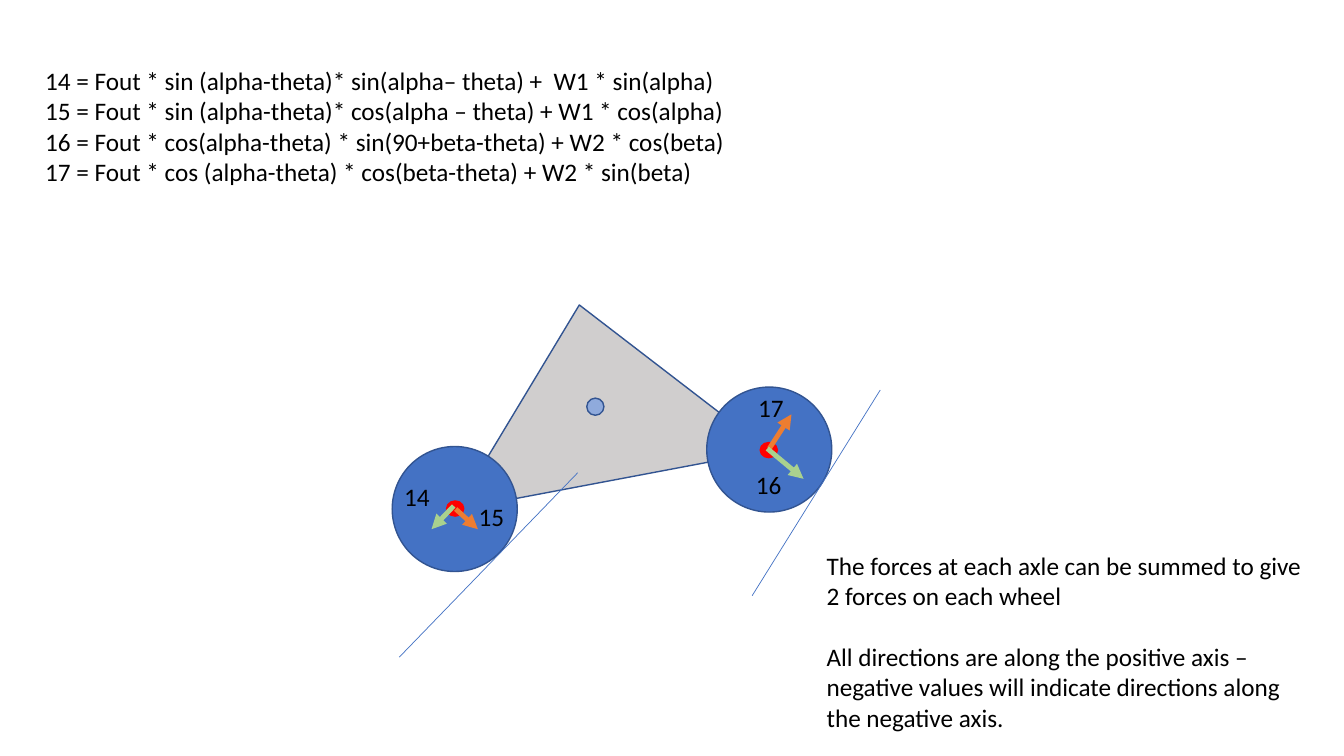
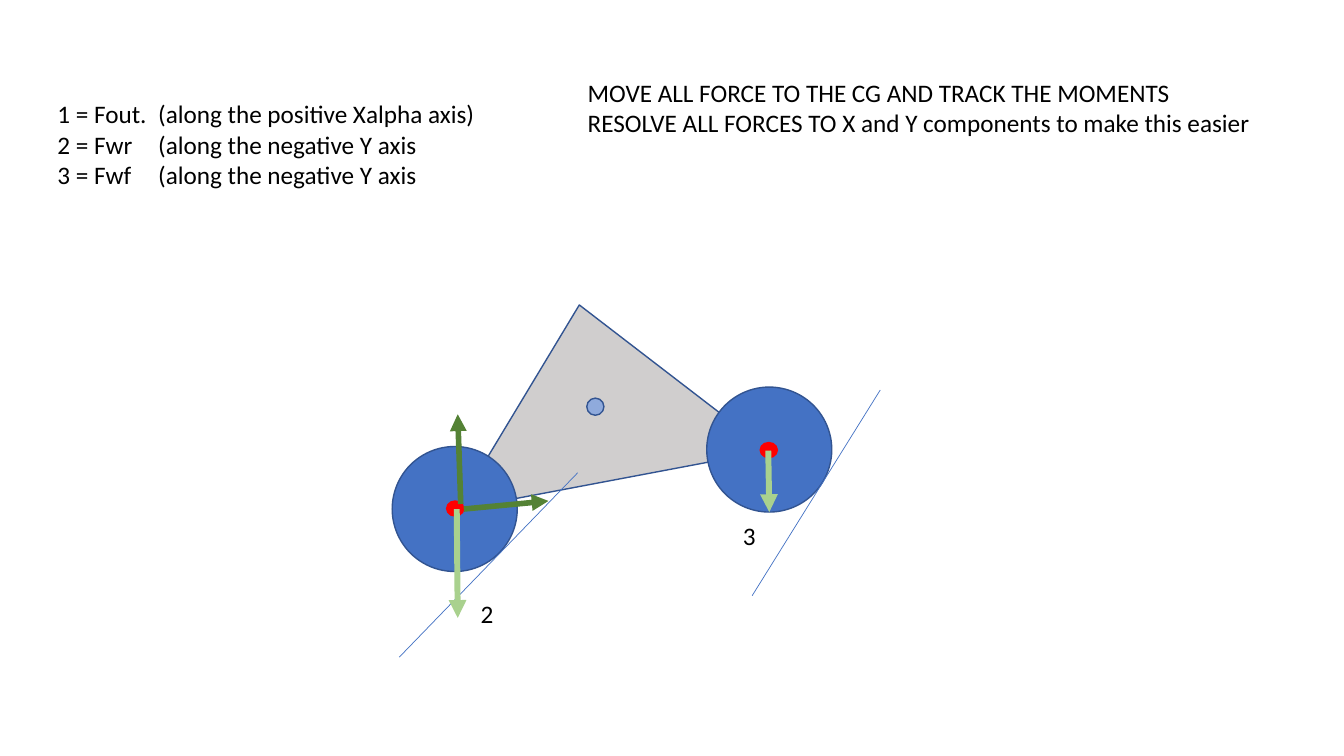
from pptx import Presentation
from pptx.dml.color import RGBColor
from pptx.enum.shapes import MSO_CONNECTOR, MSO_SHAPE
from pptx.oxml.ns import qn
from pptx.util import Inches, Pt
from lxml import etree

OVAL, TRIANGLE = MSO_SHAPE.OVAL, MSO_SHAPE.ISOSCELES_TRIANGLE
STRAIGHT = MSO_CONNECTOR.STRAIGHT
COLORS = {
    "body": "D0CECE", "wheel": "4472C4", "edge": "325491", "axle": "FF0000",
    "center": "8FAADC", "orange": "ED7D31", "light": "A9D18E",
    "dark": "548235", "text": "000000",
}
FONT, SIZE = "Calibri", 18
PARAGRAPH_GAP = 22

# Vehicle shared by both slides: (left, top, width, height)
BODY = (4.33, 3.01, 3.16, 1.77)
BODY_TURN = -10.7
WHEEL_SIZE = 1.24
WHEELS = [(3.89, 4.43), (7.01, 3.84)]
AXLE_SIZE = (0.17, 0.15)
AXLES = [(4.43, 4.97), (7.54, 4.39)]
GRAVITY_CENTER = (5.82, 3.95, 0.17, 0.17)
GROUND = [((3.96, 6.52), (5.73, 4.69)), ((7.46, 5.91), (8.73, 3.87))]

# Per slide: arrows (from, to, color, weight),
# texts (left, top, width, height, lines, wrap, gap between paragraphs)
SLIDES = [
    {
        "arrows": [
            ((4.52, 5.05), (4.74, 5.25), "orange", 3.5),
            ((7.63, 4.45), (7.85, 4.11), "orange", 3.5),
            ((7.61, 4.45), (7.97, 4.75), "light", 3.5),
            ((4.5, 5.02), (4.28, 5.25), "light", 3.5),
        ],
        "texts": [
            (8.1, 5.41, 5.02, 1.92, [
                "The forces at each axle can be summed to give 2 forces on each wheel",
                "All directions are along the positive axis – negative values will "
                "indicate directions along the negative axis.",
            ], True, PARAGRAPH_GAP),
            (3.91, 4.73, 0.46, 0.4, ["14"], False, 0),
            (4.65, 4.92, 0.46, 0.4, ["15"], False, 0),
            (7.4, 4.61, 0.46, 0.4, ["16"], False, 0),
            (7.42, 3.84, 0.46, 0.4, ["17"], False, 0),
            (0.35, 0.6, 7.1, 1.31, [
                "14 = Fout * sin (alpha-theta)* sin(alpha– theta) +  W1 * sin(alpha)",
                "15 = Fout * sin (alpha-theta)* cos(alpha – theta) + W1 * cos(alpha)",
                "16 = Fout * cos(alpha-theta) * sin(90+beta-theta) + W2 * cos(beta)",
                "17 = Fout * cos (alpha-theta) * cos(beta-theta) + W2 * sin(beta)",
            ], False, 0),
        ],
    },
    {
        "arrows": [
            ((4.53, 5.05), (4.54, 6.13), "light", 4.25),
            ((7.62, 4.47), (7.63, 5.08), "light", 4.25),
            ((4.6, 5.05), (5.44, 4.97), "dark", 4),
            ((4.57, 5), (4.54, 4.11), "dark", 4),
        ],
        "texts": [
            (5.73, 0.72, 6.84, 0.71, [
                "MOVE ALL FORCE TO THE CG AND TRACK THE MOMENTS",
                "RESOLVE ALL FORCES TO X and Y components to make this easier",
            ], False, 0),
            (0.47, 0.93, 4.39, 1.01, [
                "1 = Fout.\t(along the positive Xalpha axis)",
                "2 = Fwr\t(along the negative Y axis",
                "3 = Fwf\t(along the negative Y axis",
            ], False, 0),
            (4.67, 5.89, 0.33, 0.4, ["2"], False, 0),
            (7.27, 5.11, 0.33, 0.4, ["3"], False, 0),
        ],
    },
]


def rgb(name):
    return RGBColor.from_string(COLORS[name])


def add_solid(page, kind, place, fill, edge="edge"):
    solid = page.shapes.add_shape(kind, *map(Inches, place))
    solid.shadow.inherit = False
    solid.fill.solid()
    solid.fill.fore_color.rgb = rgb(fill)
    solid.line.color.rgb = rgb(edge)
    solid.line.width = Pt(1)
    return solid


def add_line(page, start, end, color, weight, arrow=False):
    line = page.shapes.add_connector(STRAIGHT, *map(Inches, start + end))
    line.line.color.rgb = rgb(color)
    line.line.width = Pt(weight)
    properties = line._element.spPr
    if arrow:
        etree.SubElement(properties.find(qn("a:ln")), qn("a:tailEnd"), type="triangle")
    etree.SubElement(properties, qn("a:effectLst"))


def add_text(page, left, top, width, height, lines, wrap, gap):
    box = page.shapes.add_textbox(*map(Inches, (left, top, width, height)))
    frame = box.text_frame
    frame.word_wrap = wrap
    frame.text = "\n".join(lines)
    for index, para in enumerate(frame.paragraphs):
        para.font.name = FONT
        para.font.size = Pt(SIZE)
        para.font.color.rgb = rgb("text")
        if index and gap:
            para.space_before = Pt(gap)


def add_vehicle(page):
    add_solid(page, TRIANGLE, BODY, "body").rotation = BODY_TURN
    for corner in WHEELS:
        add_solid(page, OVAL, corner + (WHEEL_SIZE, WHEEL_SIZE), "wheel")
    for start, end in GROUND:
        add_line(page, start, end, "wheel", 0.5)
    for corner in AXLES:
        add_solid(page, OVAL, corner + AXLE_SIZE, "axle", "axle")
    add_solid(page, OVAL, GRAVITY_CENTER, "center")


deck = Presentation()
deck.slide_width, deck.slide_height = Inches(13.33), Inches(7.5)
blank = deck.slide_layouts[6]
for content in SLIDES:
    page = deck.slides.add_slide(blank)
    add_vehicle(page)
    for arrow in content["arrows"]:
        add_line(page, *arrow, arrow=True)
    for text in content["texts"]:
        add_text(page, *text)
deck.save("out.pptx")
